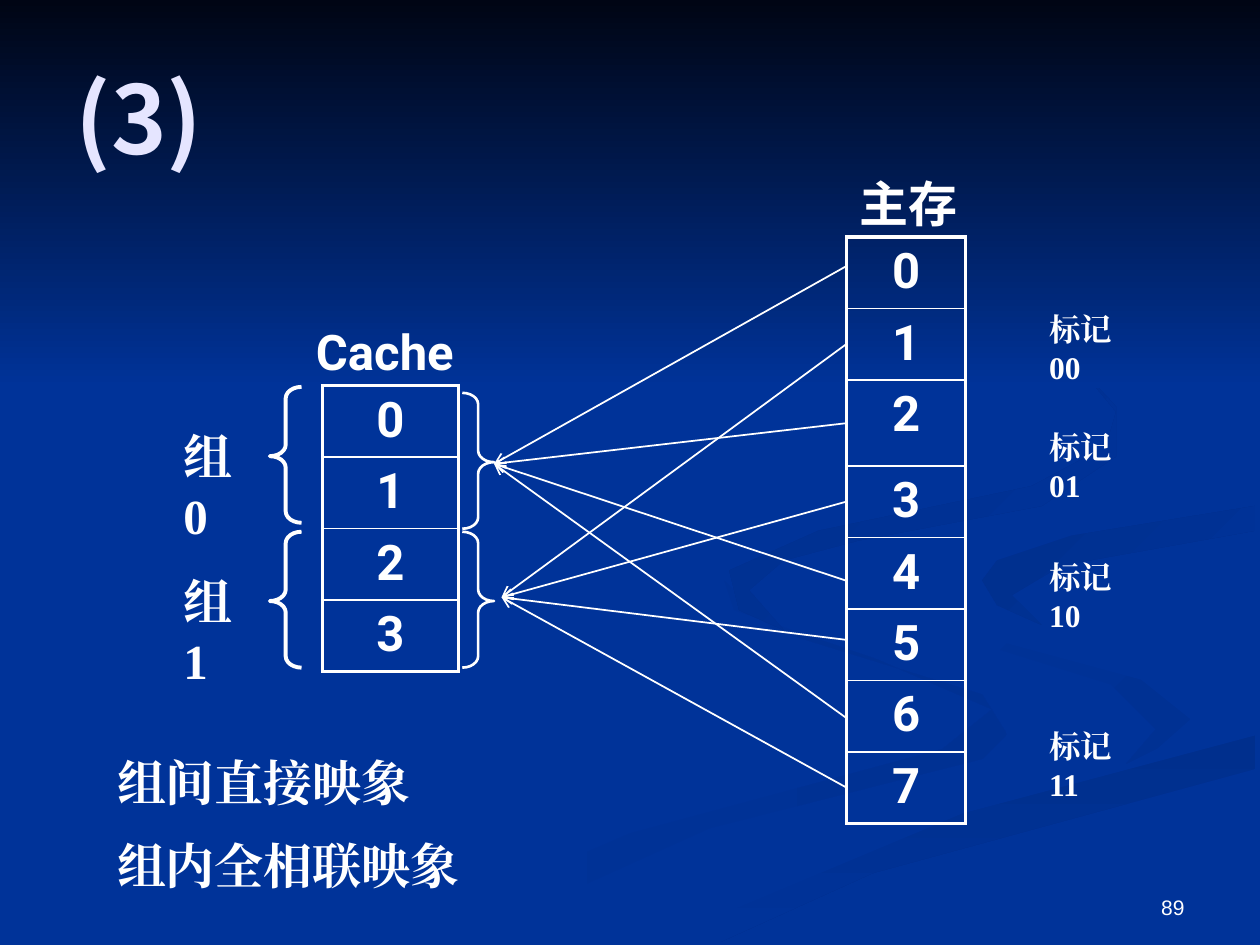
from dataclasses import dataclass

from lxml.etree import SubElement
from pptx import Presentation
from pptx.dml.color import RGBColor
from pptx.enum.shapes import MSO_CONNECTOR, MSO_SHAPE
from pptx.enum.text import MSO_ANCHOR, PP_ALIGN
from pptx.oxml import parse_xml
from pptx.oxml.ns import nsdecls, qn
from pptx.util import Cm, Pt


@dataclass(frozen=True)
class Theme:
    base: str = "003399"
    dusk: str = "003193"
    deep: str = "002F8D"
    night: str = "000514"
    white: str = "FFFFFF"
    pale: str = "E5E5FF"
    serif: str = "Times New Roman"
    sans: str = "Roboto"
    head: str = "Noto Sans CJK SC"
    foot: str = "Arial"
    huge: int = 54
    large: int = 28
    small: int = 18
    tiny: int = 12
    thick: float = 2.25
    mid: float = 1.5
    thin: float = 1


def write(box, text, *, font, size, color, bold=True, align=PP_ALIGN.LEFT,
          anchor=MSO_ANCHOR.TOP, wrap=True, gap=0):
    """Fill a text frame, one paragraph for each line of text."""
    box.word_wrap = wrap
    box.vertical_anchor = anchor
    for i, line in enumerate(text.split("\n")):
        para = box.add_paragraph() if i else box.paragraphs[0]
        para.alignment = align
        if i:
            para.space_before = Pt(gap)
        run = para.add_run()
        run.text = line
        run.font.name, run.font.size, run.font.bold = font, Pt(size), bold
        run.font.color.rgb = RGBColor.from_string(color)
        SubElement(run.font._element, qn("a:ea")).set("typeface", font)


class Deck:
    def __init__(self, theme):
        self.theme = theme
        self.file = Presentation()
        self.file.slide_width, self.file.slide_height = Cm(25.4), Cm(19.05)
        self.slide = self.file.slides.add_slide(self.file.slide_layouts[6])
        self.items = self.slide.shapes
        fill = self.slide.background.fill
        fill.solid()
        fill.fore_color.rgb = RGBColor.from_string(theme.base)

    def shade(self, item, first, last, angle):
        item.shadow.inherit = False
        item.line.fill.background()
        item.fill.gradient()
        item.fill.gradient_angle = -angle % 360
        for stop, color in zip(item.fill.gradient_stops, (first, last)):
            stop.color.rgb = RGBColor.from_string(color)

    def swirl(self, points, *shade):
        """Draw a closed outline, given in millimetres."""
        path = self.items.build_freeform(*points[0], scale=Cm(0.1))
        path.add_line_segments(points[1:], close=True)
        self.shade(path.convert_to_shape(), *shade)

    def band(self, x, y, w, h, *shade):
        item = self.items.add_shape(MSO_SHAPE.RECTANGLE, Cm(x), Cm(y), Cm(w), Cm(h))
        self.shade(item, *shade)

    def label(self, text, x, y, w, h, **form):
        style = dict(font=self.theme.serif, size=self.theme.large, color=self.theme.white)
        box = self.items.add_textbox(Cm(x), Cm(y), Cm(w), Cm(h))
        write(box.text_frame, text, **(style | form))

    def stack(self, x, y, w, rows):
        """Draw a one-column table of numbered blocks."""
        t = self.theme
        table = self.items.add_table(len(rows), 1, Cm(x), Cm(y), Cm(w), Cm(sum(rows))).table
        table.first_row = table.horz_banding = False
        table.columns[0].width = Cm(w)
        for i, high in enumerate(rows):
            table.rows[i].height = Cm(high)
            cell = table.cell(i, 0)
            write(cell.text_frame, str(i), font=t.sans, size=t.large,
                  color=t.white, align=PP_ALIGN.CENTER)
            cell.fill.background()
            top = t.thin if i else t.thick
            base = t.thick if i == len(rows) - 1 else t.thin
            sides = zip("LRTB", (t.thick, t.thick, top, base))
            for spot, (side, width) in enumerate(sides):
                edge = parse_xml(
                    f'<a:ln{side} {nsdecls("a")} w="{Pt(width)}"><a:solidFill>'
                    f'<a:srgbClr val="{t.white}"/></a:solidFill></a:ln{side}>')
                cell._tc.get_or_add_tcPr().insert(spot, edge)

    def stroke(self, item, width):
        item.line.color.rgb = RGBColor.from_string(self.theme.white)
        item.line.width = Pt(width)

    def brace(self, kind, x, y, width):
        item = self.items.add_shape(kind, Cm(x), Cm(y), Cm(0.64), Cm(2.74))
        item.adjustments[0], item.adjustments[1] = 0.36, 0.51
        item.shadow.inherit = False
        item.fill.background()
        self.stroke(item, width)

    def arrow(self, x1, y1, x2, y2):
        item = self.items.add_connector(
            MSO_CONNECTOR.STRAIGHT, Cm(x1), Cm(y1), Cm(x2), Cm(y2))
        self.stroke(item, self.theme.thin)
        SubElement(item.line._get_or_add_ln(), qn("a:tailEnd")).set("type", "arrow")
        SubElement(item._element.spPr, qn("a:effectLst"))


def main():
    t = Theme()
    deck = Deck(t)

    # Backdrop swirls, from back to front
    deck.swirl([(198, 140), (156, 127), (146, 117), (148, 123), (177, 133),
                (200, 143), (190, 151), (127, 168), (76, 190), (92, 190),
                (143, 167), (198, 153), (203, 148)], t.base, t.dusk, 0)
    deck.swirl([(240, 145), (230, 137), (193, 127), (184, 118), (192, 128),
                (224, 138), (233, 147), (227, 154), (239, 148)], t.base, t.dusk, 45)
    deck.swirl([(128, 190), (145, 190), (176, 176), (253, 155), (253, 148),
                (194, 164), (145, 183)], t.deep, t.base, 90)
    deck.swirl([(184, 118), (193, 127), (230, 137), (240, 145), (231, 153),
                (168, 170), (121, 190), (132, 190), (194, 164), (254, 148),
                (254, 137), (204, 123), (198, 118), (212, 109), (254, 102),
                (254, 98), (200, 107)], t.base, t.base, 0)
    deck.swirl([(198, 117), (201, 122), (210, 126), (204, 120), (214, 114),
                (253, 107), (253, 102), (216, 108), (201, 113)], t.deep, t.base, 45)
    deck.swirl([(173, 109), (210, 102), (225, 92), (225, 82), (214, 70),
                (194, 59), (215, 71), (225, 83), (223, 90), (208, 98),
                (165, 107), (147, 115), (149, 123), (158, 127), (151, 119),
                (158, 113)], t.deep, t.base, 45)
    deck.band(0, 0, 25.4, 7.82, t.night, t.base, 90)

    # Page number and title
    deck.label("89", 18.21, 17.35, 5.92, 1.32, font=t.foot, size=t.tiny, bold=False,
               align=PP_ALIGN.RIGHT, anchor=MSO_ANCHOR.BOTTOM)
    deck.label("(3)", 1.27, 0.76, 22.86, 3.18, font=t.head, size=t.huge,
               color=t.pale, anchor=MSO_ANCHOR.MIDDLE)

    # Cache and main memory
    row = 1.44
    deck.stack(6.5, 7.77, 2.74, [row] * 4)
    deck.stack(17.07, 4.78, 2.39, [row] * 2 + [1.73] + [row] * 5)
    deck.label("Cache", 6.12, 6.35, 3.51, 1.45, font=t.sans, wrap=False)
    deck.label("主存", 17.07, 3.38, 2.49, 1.45, font=t.sans, wrap=False)

    # Cache sets with their braces
    for i, (left, right) in enumerate([(7.8, 7.92), (10.72, 10.72)]):
        deck.brace(MSO_SHAPE.LEFT_BRACE, 5.44, left, t.thick)
        deck.brace(MSO_SHAPE.RIGHT_BRACE, 9.32, right, t.mid)
        deck.label(f"组{i}", 3.45, left + 0.68, 1.9, 1.45)

    # Each memory block maps to the set given by its parity
    tips = [(9.96, 9.35), (10.11, 12.04)]
    for i, y in enumerate([5.36, 6.93, 8.53, 10.11, 11.71, 12.9, 14.48, 15.88]):
        deck.arrow(17.07, y, *tips[i % 2])

    # Tags and closing remarks
    for i, y in enumerate([6.12, 8.51, 11.13, 14.53]):
        deck.label(f"标记{i:02b}", 20.9, y, 2.3, 1.02, size=t.small)
    deck.label("组间直接映象\n组内全相联映象", 2.11, 15.04, 9.04, 3.23, gap=t.large / 2)

    deck.file.save("out.pptx")


if __name__ == "__main__":
    main()
